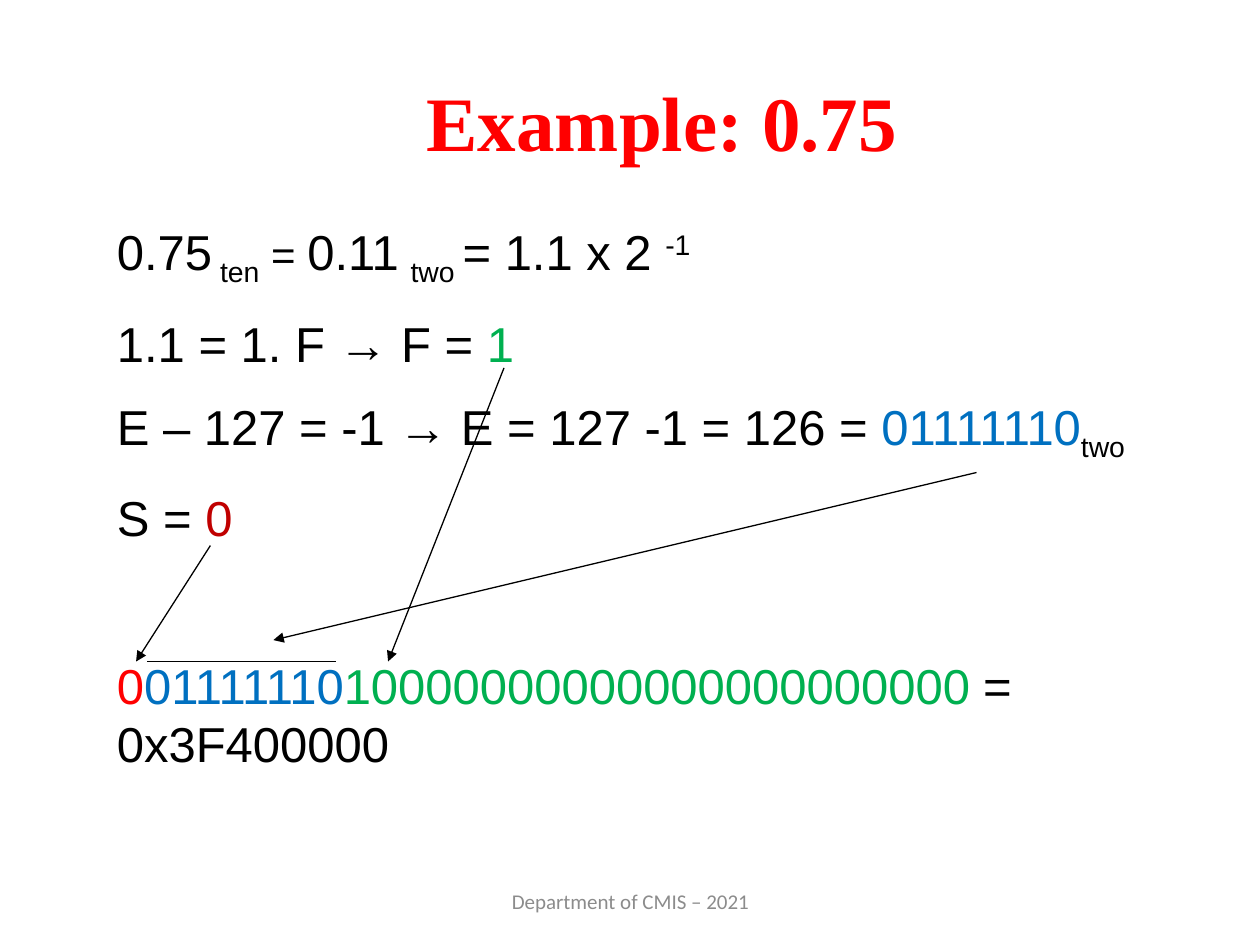
from dataclasses import dataclass

from lxml.etree import SubElement
from pptx import Presentation
from pptx.dml.color import RGBColor
from pptx.enum.shapes import MSO_CONNECTOR
from pptx.enum.text import MSO_ANCHOR, PP_ALIGN
from pptx.oxml.ns import qn
from pptx.util import Inches, Pt


@dataclass(frozen=True)
class Theme:
    black: str = "000000"
    sign: str = "FF0000"
    sign_dark: str = "C00000"
    exponent: str = "0070C0"
    fraction: str = "00B050"
    title: str = "FF0000"
    footer: str = "8C8C8C"
    title_font: str = "Times New Roman"
    body_font: str = "Arial"
    footer_font: str = "Calibri"
    title_size: int = 44
    body_size: int = 28
    small_size: int = 24
    footer_size: int = 12
    line_width: float = 0.75
    step_gap: int = 14
    result_gap: int = 62


T = Theme()

# Changes of style within a step
PLAIN = {}
SMALL = {"size": T.small_size}
SUBSCRIPT = {"baseline": -25}
SUPERSCRIPT = {"baseline": 30}
SIGN = {"color": T.sign}
SIGN_DARK = {"color": T.sign_dark}
EXPONENT = {"color": T.exponent}
FRACTION = {"color": T.fraction}

# Values that appear both in a step and in the final bit pattern
SIGN_BIT = "0"
EXPONENT_BITS = "01111110"
FRACTION_BITS = "1".ljust(23, "0")

STEPS = [
    [("0.75", PLAIN), (" ten", SUBSCRIPT), (" = ", SMALL), ("0.11", PLAIN),
     (" ", SMALL), ("two ", SUBSCRIPT), ("= 1.1 x 2 ", PLAIN),
     ("-1", SUPERSCRIPT)],
    [("1.1 = 1. F → F = ", PLAIN), ("1", FRACTION)],
    [("E – 127 = -1 → E = 127 -1 = 126 = ", PLAIN),
     (EXPONENT_BITS, EXPONENT), ("two", SUBSCRIPT)],
    [("S = ", PLAIN), (SIGN_BIT, SIGN_DARK)],
]
RESULT = [(SIGN_BIT, SIGN), (EXPONENT_BITS, EXPONENT),
          (FRACTION_BITS, FRACTION), (" = 0x3F400000", PLAIN)]


def add_box(s, box, anchor=MSO_ANCHOR.TOP):
    tf = s.shapes.add_textbox(*(Inches(v) for v in box)).text_frame
    tf.word_wrap = True
    tf.vertical_anchor = anchor
    return tf


def add_run(p, text, font=T.body_font, size=T.body_size, color=T.black,
            bold=False, baseline=0):
    r = p.add_run()
    r.text = text
    r.font.name = font
    r.font.size = Pt(size)
    r.font.bold = bold
    r.font.color.rgb = RGBColor.from_string(color)
    if baseline:
        # Raised or lowered by a percentage, stored in thousandths
        r.font._element.set("baseline", str(baseline * 1000))


def add_centered_line(s, box, text, **style):
    p = add_box(s, box, MSO_ANCHOR.MIDDLE).paragraphs[0]
    p.alignment = PP_ALIGN.CENTER
    add_run(p, text, **style)


def add_line(s, start, end, arrow):
    points = (Inches(v) for v in (*start, *end))
    line = s.shapes.add_connector(MSO_CONNECTOR.STRAIGHT, *points)
    line.line.color.rgb = RGBColor.from_string(T.black)
    line.line.width = Pt(T.line_width)
    sp_pr = line._element.spPr
    if arrow:
        SubElement(sp_pr.find(qn("a:ln")), qn("a:tailEnd"), type="triangle")
    SubElement(sp_pr, qn("a:effectLst"))


def add_title(s, box):
    add_centered_line(s, box, "Example: 0.75", font=T.title_font,
                      size=T.title_size, color=T.title, bold=True)


def add_conversion(s, box):
    tf = add_box(s, box)
    gaps = [0] + [T.step_gap] * (len(STEPS) - 1) + [T.result_gap]
    for i, (gap, runs) in enumerate(zip(gaps, STEPS + [RESULT])):
        p = tf.add_paragraph() if i else tf.paragraphs[0]
        p.space_before = Pt(gap)
        for text, style in runs:
            add_run(p, text, **style)


def add_bit_links(s, box):
    left, top, width, height = box
    right, bottom = left + width, top + height

    # Each line runs from a value in the steps to its place in the result
    sign = (left + 0.59, top + 1.41), (left, bottom)
    exponent_bar = (left + 0.09, bottom), (left + 1.59, bottom)
    exponent = (right, top + 0.83), (left + 1.09, bottom - 0.17)
    fraction = (left + 2.92, top), (left + 2, bottom)

    for link in (sign, exponent_bar, exponent, fraction):
        add_line(s, *link, arrow=link is not exponent_bar)


def add_footer(s, box):
    add_centered_line(s, box, "Department of CMIS – 2021", font=T.footer_font,
                      size=T.footer_size, color=T.footer)


def main():
    prs = Presentation()
    prs.slide_width, prs.slide_height = Inches(10), Inches(7.5)
    s = prs.slides.add_slide(prs.slide_layouts[6])
    add_title(s, (0.92, 0.33, 8.67, 1.25))
    add_conversion(s, (0.83, 1.71, 8.58, 4.54))
    add_bit_links(s, (1.08, 2.92, 6.67, 2.33))
    add_footer(s, (3.42, 6.95, 3.17, 0.4))
    prs.save("out.pptx")


if __name__ == "__main__":
    main()
